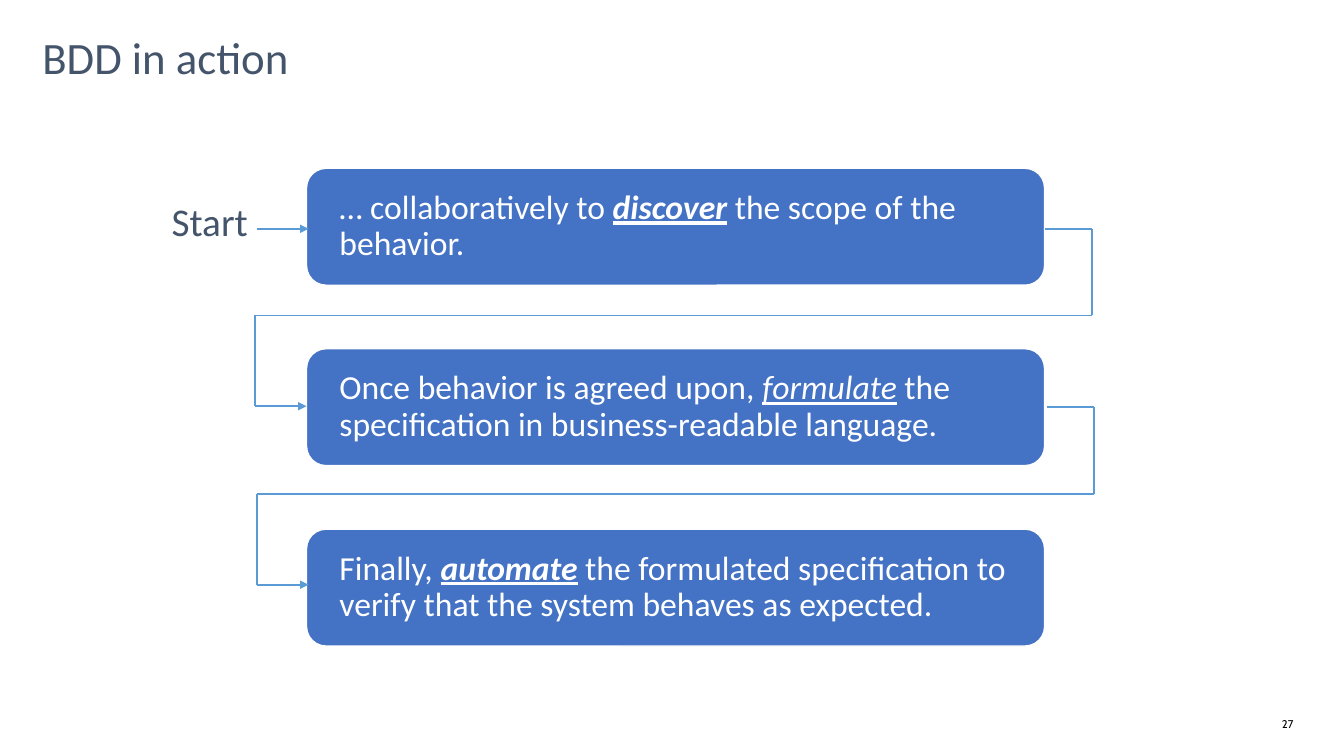
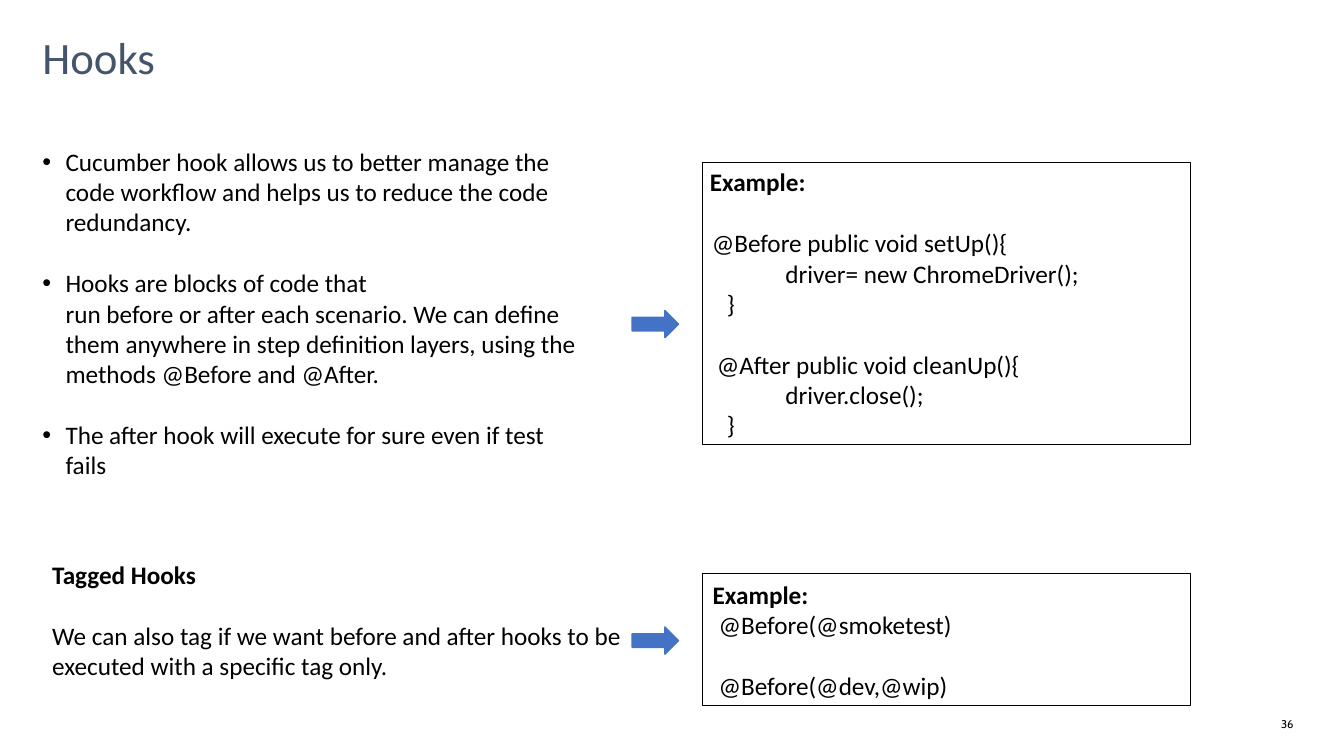
from lxml.etree import SubElement
from pptx import Presentation
from pptx.dml.color import RGBColor
from pptx.enum.shapes import MSO_CONNECTOR, MSO_SHAPE
from pptx.enum.text import MSO_ANCHOR, MSO_AUTO_SIZE, PP_ALIGN
from pptx.oxml.ns import qn
from pptx.util import Inches, Pt

BLUE = RGBColor(0x44, 0x72, 0xC4)
LIGHT_BLUE = RGBColor(0x5B, 0x9B, 0xD5)
SLATE = RGBColor(0x44, 0x54, 0x6A)
BLACK = RGBColor(0, 0, 0)
WHITE = RGBColor(0xFF, 0xFF, 0xFF)


def write(shape, paras, size, color, inset=(0.1, 0.05), anchor=MSO_ANCHOR.TOP,
          font="Calibri", **para_format):
    """Fill shape with paras: (runs, left indent, first-line indent, gap after).

    Each run is (text, style), with style letters b, i and u; "\n" is a line break.
    """
    tf = shape.text_frame
    dx, dy = map(Inches, inset)
    frame_format = {"word_wrap": True, "auto_size": MSO_AUTO_SIZE.NONE,
                    "vertical_anchor": anchor, "margin_left": dx, "margin_right": dx,
                    "margin_top": dy, "margin_bottom": dy}
    for name, value in frame_format.items():
        setattr(tf, name, value)
    for n, (runs, left, first, gap) in enumerate(paras):
        p = tf.add_paragraph() if n else tf.paragraphs[0]
        settings = {"alignment": PP_ALIGN.LEFT, "space_before": Pt(0),
                    "space_after": Pt(gap), **para_format}
        for name, value in settings.items():
            setattr(p, name, value)
        pPr = p._p.get_or_add_pPr()
        pPr.set("marL", str(Inches(left)))
        pPr.set("indent", str(Inches(first)))
        for text, style in runs:
            if text == "\n":
                p.add_line_break()
                SubElement(p._p[-1], qn("a:rPr"), sz=str(size * 100))
                continue
            r = p.add_run()
            r.text = text
            r.font.color.rgb = color
            run_format = {"name": font, "size": Pt(size), "bold": "b" in style,
                          "italic": "i" in style, "underline": "u" in style}
            for name, value in run_format.items():
                setattr(r.font, name, value)


def add_line(shapes, start, end, arrow=False):
    c = shapes.add_connector(MSO_CONNECTOR.STRAIGHT, *map(Inches, start + end))
    c.line.color.rgb = LIGHT_BLUE
    c.line.width = Pt(1.25)
    if arrow:
        SubElement(c.line._get_or_add_ln(), qn("a:tailEnd"), type="triangle")
    SubElement(c._element.spPr, qn("a:effectLst"))


prs = Presentation()
prs.slide_width, prs.slide_height = Inches(13.33), Inches(7.5)

# Title and page number on every slide
for layout, title, number in ((5, "BDD in action", "27"), (1, "Hooks", "36")):
    s = prs.slides.add_slide(prs.slide_layouts[layout])
    sp = s.shapes.title
    sp.left, sp.top, sp.width, sp.height = map(Inches, (0.42, 0.4, 12.49, 1.08))
    write(sp, [([(title, "")], 0, 0, 0)], 32, SLATE, (0, 0), line_spacing=0.8)
    sp = s.shapes.add_textbox(*map(Inches, (12.33, 7, 0.5, 0.25)))
    write(sp, [([(number, "")], 0, 0, 0)], 8, BLACK, (0, 0), MSO_ANCHOR.BOTTOM,
          "Cabin", alignment=PP_ALIGN.RIGHT)
bdd, hooks = prs.slides

# BDD in action: three steps
steps = [
    [("… collaboratively to ", ""), ("discover", "biu"),
     (" the scope of the behavior.", "")],
    [("Once behavior is agreed upon, ", ""), ("formulate", "iu"),
     (" the specification in business-readable language.", "")],
    [("Finally, ", ""), ("automate", "biu"),
     (" the formulated specification to verify that the system behaves as expected.", "")],
]
for n, runs in enumerate(steps):
    sp = bdd.shapes.add_shape(MSO_SHAPE.ROUNDED_RECTANGLE, Inches(3.04),
                              Inches(1.67 + 1.79 * n), Inches(7.32), Inches(1.16))
    sp.shadow.inherit = False
    sp.fill.solid()
    sp.fill.fore_color.rgb = BLUE
    sp.line.color.rgb = WHITE
    sp.line.width = Pt(1)
    write(sp, [(runs, 0, 0, 0)], 24, WHITE, (0.27, 0.06), MSO_ANCHOR.MIDDLE,
          line_spacing=0.9)

# Each route leaves a step on the right and enters the next one on the left
route = [(10.36, 2.27), (10.83, 2.27), (10.83, 3.13),
         (2.53, 3.13), (2.53, 4.03), (3.04, 4.03)]
for dx, dy in ((0, 0), (0.02, 1.77)):
    points = [(x + dx, y + dy) for x, y in route]
    group = bdd.shapes.add_group_shape()
    for start, end in zip(points, points[1:]):
        add_line(group.shapes, start, end, arrow=end == points[-1])

add_line(bdd.shapes, (2.55, 2.27), (3.06, 2.27), arrow=True)
sp = bdd.shapes.add_textbox(*map(Inches, (1.6, 1.91, 0.96, 0.56)))
write(sp, [([("Start", "")], 0, 0, 0)], 28, SLATE, (0, 0), MSO_ANCHOR.MIDDLE,
      alignment=PP_ALIGN.CENTER)

# Hooks: explanation on the left
LINE = 22
bullets = [
    [("Cucumber hook allows us to better manage the code workflow and helps us "
      "to reduce the code redundancy.", "")],
    [("Hooks are blocks of code that", ""), ("\n", ""),
     ("run before or after each scenario. We can define them anywhere in step "
      "definition layers, using the methods @Before and @After.", "")],
    [("The after hook will execute for sure even if test fails", "")],
]
sp = hooks.placeholders[1]
sp.left, sp.top, sp.width, sp.height = map(Inches, (0.32, 1.4, 5.56, 3.74))
write(sp, [(runs, 0.23, -0.23, LINE) for runs in bullets], 18, BLACK)

sp = hooks.shapes.add_textbox(*map(Inches, (0.42, 5.5, 5.94, 1.4)))
write(sp, [([("Tagged Hooks", "b")], 0, 0, LINE),
           ([("We can also tag if we want before and after hooks to be executed "
              "with a specific tag only.", "")], 0, 0, 0)], 18, BLACK)

# Hooks: code examples on the right, each with an arrow: (text, indent, gap after)
examples = [
    (1.61, 2.8, (0.07, 0.04), 3.08, [
        ("@Before public void setUp(){", 0.02, 0),
        ("driver= new ChromeDriver();", 0.75, 0),
        ("}", 0.17, LINE),
        ("@After public void cleanUp(){", 0.07, 0),
        ("driver.close();", 0.75, 0),
        ("}", 0.17, 0)], LINE),
    (5.69, 1.31, (0.1, 0.05), 6.22, [
        ("@Before(@smoketest)", 0.06, LINE),
        ("@Before(@dev,@wip)", 0.06, 0)], 0),
]
for top, height, inset, arrow_top, code, heading_gap in examples:
    box = hooks.shapes.add_shape(MSO_SHAPE.RECTANGLE, Inches(6.97), Inches(top),
                                 Inches(4.84), Inches(height))
    arrow = hooks.shapes.add_shape(MSO_SHAPE.RIGHT_ARROW, Inches(6.27),
                                   Inches(arrow_top), Inches(0.46), Inches(0.27))
    for sp, fill, line, width in ((box, WHITE, BLACK, 0.75), (arrow, BLUE, BLUE, 1)):
        sp.shadow.inherit = False
        sp.fill.solid()
        sp.fill.fore_color.rgb = fill
        sp.line.color.rgb = line
        sp.line.width = Pt(width)
    paras = [([("Example:", "b")], 0, 0, heading_gap)]
    paras += [([(text, "")], indent, 0, gap) for text, indent, gap in code]
    write(box, paras, 18, BLACK, inset, MSO_ANCHOR.MIDDLE)

prs.save("out.pptx")
